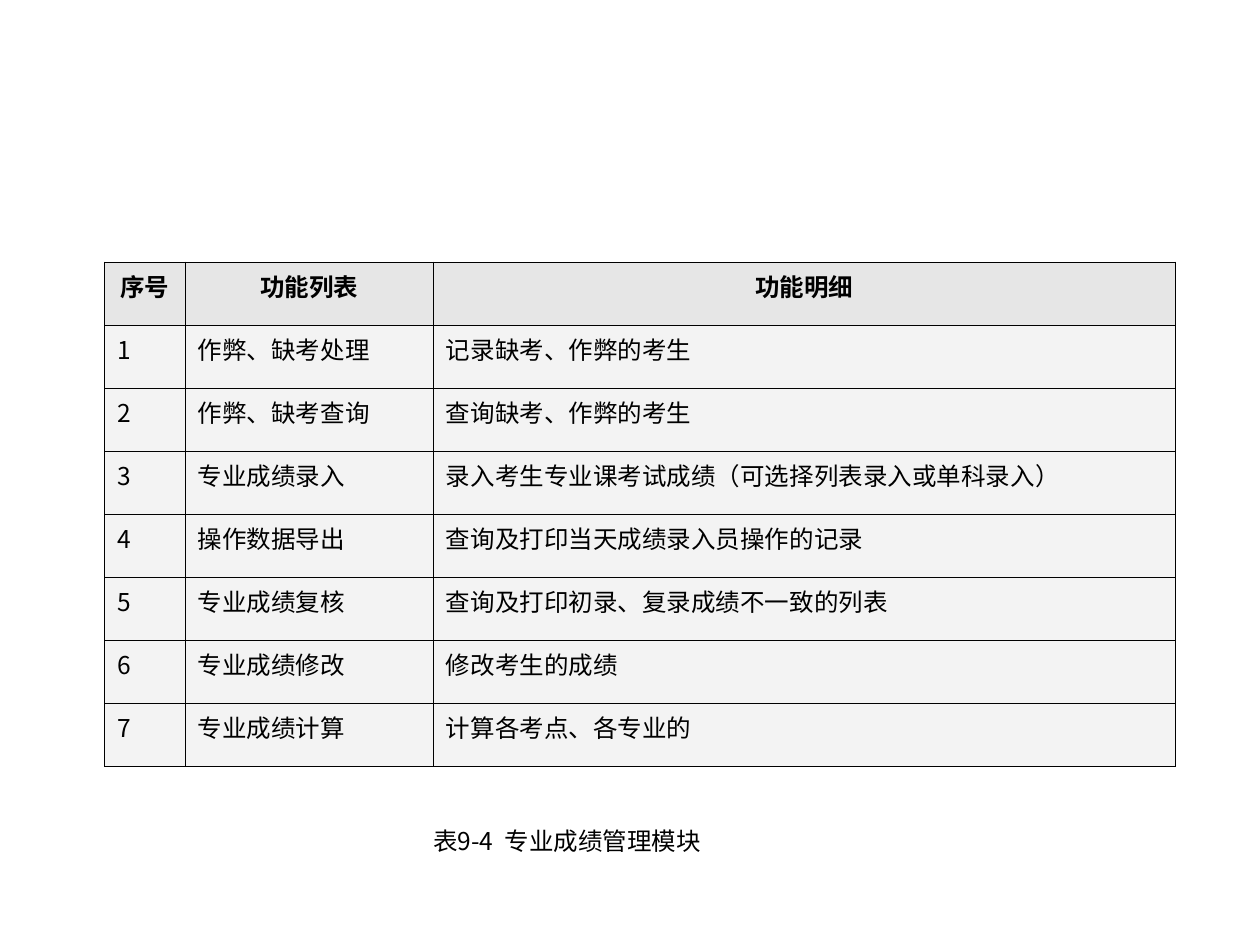
"""Build a slide with the function table of the score management module."""
from lxml.etree import SubElement
from pptx import Presentation
from pptx.dml.color import RGBColor
from pptx.enum.text import MSO_ANCHOR as Anchor, MSO_AUTO_SIZE as AutoSize, PP_ALIGN as Align
from pptx.oxml.ns import qn
from pptx.util import Inches, Pt

FONT = "Noto Sans CJK SC"
INK, HEADER_FILL, BODY_FILL = "000000", "E6E6E6", "F3F3F3"
CAPTION = "表9-4  专业成绩管理模块"
HEADERS = ("序号", "功能列表", "功能明细")
FUNCTIONS = [
    ("作弊、缺考处理", "记录缺考、作弊的考生"),
    ("作弊、缺考查询", "查询缺考、作弊的考生"),
    ("专业成绩录入", "录入考生专业课考试成绩（可选择列表录入或单科录入）"),
    ("操作数据导出", "查询及打印当天成绩录入员操作的记录"),
    ("专业成绩复核", "查询及打印初录、复录成绩不一致的列表"),
    ("专业成绩修改", "修改考生的成绩"),
    ("专业成绩计算", "计算各考点、各专业的"),
]
COLUMN_WIDTHS = (0.64, 1.97, 5.89)
ROW_HEIGHT = 0.5


def color(value):
    return RGBColor.from_string(value)


def write(frame, text, bold=False, align=Align.LEFT):
    para = frame.paragraphs[0]
    para.text = text
    para.alignment = align
    font = para.font
    font.name, font.size, font.bold = FONT, Pt(14), bold
    font.color.rgb = color(INK)
    SubElement(font._element, qn("a:ea"), typeface=FONT)


def fill_cell(cell, fill):
    cell.fill.solid()
    cell.fill.fore_color.rgb = color(fill)


def border_cell(cell):
    properties = cell._tc.get_or_add_tcPr()
    for index, side in enumerate(("a:lnL", "a:lnR", "a:lnT", "a:lnB")):
        line = SubElement(properties, qn(side), w=str(Pt(0.45)))
        SubElement(SubElement(line, qn("a:solidFill")), qn("a:srgbClr"), val=INK)
        properties.insert(index, line)


def add_function_table(page):
    rows = [HEADERS] + [(str(number), *row) for number, row in enumerate(FUNCTIONS, 1)]
    table = page.shapes.add_table(
        len(rows), len(HEADERS), Inches(0.83), Inches(2.08),
        Inches(sum(COLUMN_WIDTHS)), Inches(ROW_HEIGHT * len(rows))).table
    for column, width in zip(table.columns, COLUMN_WIDTHS):
        column.width = Inches(width)
    for row_index, row in enumerate(rows):
        header = row_index == 0
        for column_index, text in enumerate(row):
            cell = table.cell(row_index, column_index)
            write(cell.text_frame, text, header, Align.CENTER if header else Align.LEFT)
            fill_cell(cell, HEADER_FILL if header else BODY_FILL)
            border_cell(cell)


def add_caption(page):
    box = page.shapes.add_textbox(Inches(3.34), Inches(6.5), Inches(2.42), Inches(0.34))
    frame = box.text_frame
    frame.word_wrap = False
    frame.auto_size = AutoSize.SHAPE_TO_FIT_TEXT
    frame.vertical_anchor = Anchor.MIDDLE
    write(frame, CAPTION)


def main():
    deck = Presentation()
    deck.slide_width, deck.slide_height = Inches(10), Inches(7.5)
    page = deck.slides.add_slide(deck.slide_layouts[6])
    add_function_table(page)
    add_caption(page)
    deck.save("out.pptx")


if __name__ == "__main__":
    main()
